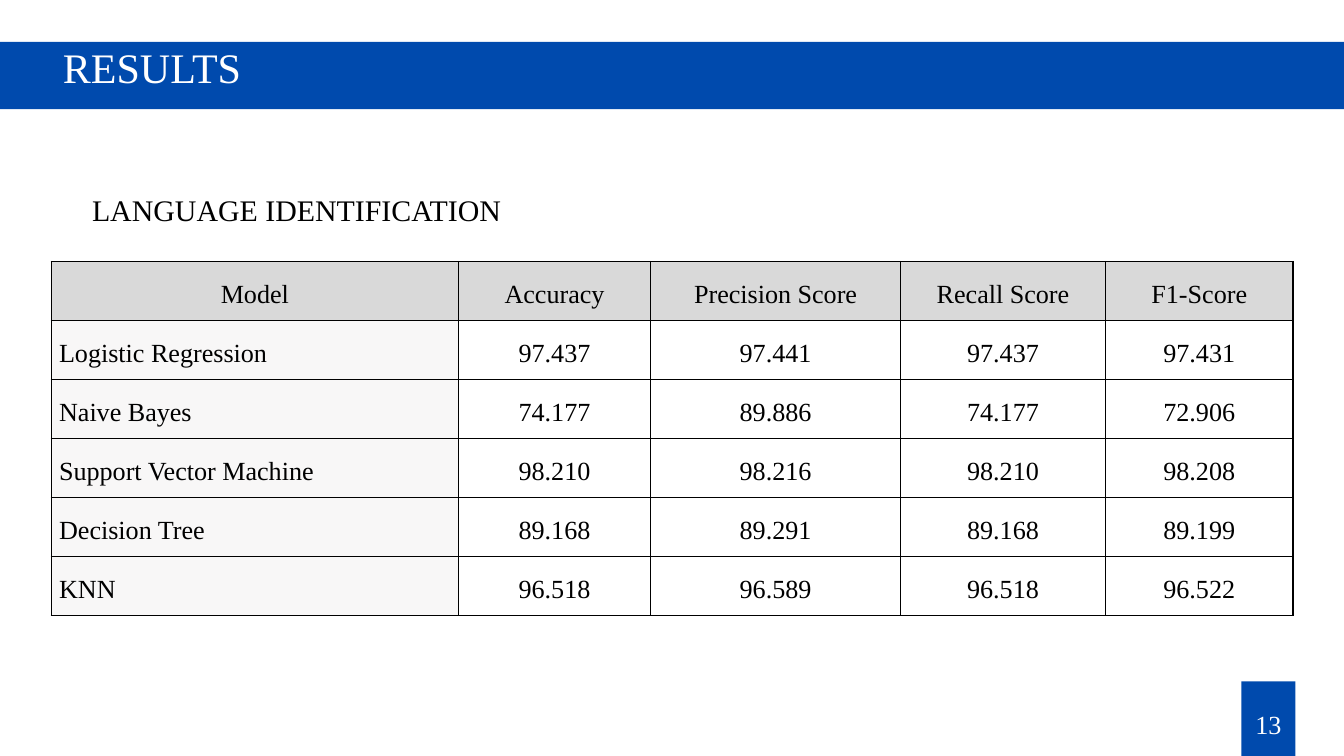
import pptx
import pptx.dml.color
import pptx.enum.shapes
import pptx.enum.text
import pptx.oxml
import pptx.oxml.ns
import pptx.util

Pt = pptx.util.Pt
RGBColor = pptx.dml.color.RGBColor
ALIGN = pptx.enum.text.PP_ALIGN

BLUE = RGBColor(0x00, 0x4A, 0xAD)
WHITE = RGBColor(0xFF, 0xFF, 0xFF)
BLACK = RGBColor(0x00, 0x00, 0x00)
HEADER_GREY = RGBColor(0xD9, 0xD9, 0xD9)
MODEL_GREY = RGBColor(0xF8, 0xF7, 0xF7)

FONT = "Times New Roman"
COLUMN_WIDTHS = (436.3, 205.9, 267.8, 219.6, 200.9)
ROW_HEIGHT = 63.24
CELL_MARGIN = 8.4
SCORES = (
    ("Model", "Accuracy", "Precision Score", "Recall Score", "F1-Score"),
    ("Logistic Regression", "97.437", "97.441", "97.437", "97.431"),
    ("Naive Bayes", "74.177", "89.886", "74.177", "72.906"),
    ("Support Vector Machine", "98.210", "98.216", "98.210", "98.208"),
    ("Decision Tree", "89.168", "89.291", "89.168", "89.199"),
    ("KNN", "96.518", "96.589", "96.518", "96.522"),
)


def write_line(frame, text, size, color, spacing, align):
    frame.text = text
    paragraph = frame.paragraphs[0]
    paragraph.alignment = align
    paragraph.line_spacing = Pt(spacing)
    font = paragraph.runs[0].font
    font.name = FONT
    font.size = Pt(size)
    font.bold = False
    font.color.rgb = color


def add_bar(slide, left, top, width, height):
    bar = slide.shapes.add_shape(
        pptx.enum.shapes.MSO_SHAPE.RECTANGLE,
        Pt(left), Pt(top), Pt(width), Pt(height))
    bar.shadow.inherit = False
    bar.fill.solid()
    bar.fill.fore_color.rgb = BLUE
    bar.line.fill.background()


def add_label(slide, box, text, size, color, spacing, align=ALIGN.LEFT, indent=0):
    label = slide.shapes.add_textbox(*(Pt(length) for length in box))
    frame = label.text_frame
    frame.word_wrap = True
    frame.margin_left = Pt(indent)
    frame.margin_top = frame.margin_right = frame.margin_bottom = 0
    write_line(frame, text, size, color, spacing, align)


def add_borders(cell, width):
    properties = cell._tc.get_or_add_tcPr()
    for side in ("lnL", "lnR", "lnT", "lnB"):
        properties.append(pptx.oxml.parse_xml(
            f'<a:{side} {pptx.oxml.ns.nsdecls("a")} w="{Pt(width)}">'
            f'<a:solidFill><a:srgbClr val="{BLACK}"/></a:solidFill></a:{side}>'))


def fill_cell(cell, color):
    if color is None:
        cell.fill.background()
    else:
        cell.fill.solid()
        cell.fill.fore_color.rgb = color


def add_score_table(slide, left, top):
    table = slide.shapes.add_table(
        len(SCORES), len(COLUMN_WIDTHS), Pt(left), Pt(top),
        Pt(sum(COLUMN_WIDTHS)), Pt(ROW_HEIGHT * len(SCORES))).table
    table.first_row = False
    table.horz_banding = False
    for column, width in zip(table.columns, COLUMN_WIDTHS):
        column.width = Pt(width)
    for row_index, scores in enumerate(SCORES):
        table.rows[row_index].height = Pt(ROW_HEIGHT)
        for column_index, text in enumerate(scores):
            is_header = row_index == 0
            is_model = column_index == 0 and not is_header
            cell = table.cell(row_index, column_index)
            cell.vertical_anchor = pptx.enum.text.MSO_ANCHOR.MIDDLE
            cell.margin_left = cell.margin_right = Pt(CELL_MARGIN)
            cell.margin_top = cell.margin_bottom = Pt(CELL_MARGIN)
            add_borders(cell, 1.5)
            fill_cell(cell, HEADER_GREY if is_header else MODEL_GREY if is_model else None)
            write_line(cell.text_frame, text, 28, BLACK, 39.2,
                       ALIGN.LEFT if is_model else ALIGN.CENTER)


def main():
    presentation = pptx.Presentation()
    presentation.slide_width = Pt(1440)
    presentation.slide_height = Pt(810)
    slide = presentation.slides.add_slide(presentation.slide_layouts[6])

    add_bar(slide, -16.5, 45, 1473, 72)
    add_label(slide, (0, 35.3, 1440, 68.4), "RESULTS", 45, WHITE, 63, indent=67.5)
    add_bar(slide, 1330, 730, 58, 81)
    add_label(slide, (1330.5, 753.8, 57, 42.5), "13", 28, WHITE, 39.2, ALIGN.CENTER)
    add_score_table(slide, 54.9, 280.1)
    add_label(slide, (98.6, 164.2, 684.7, 74.9), "LANGUAGE IDENTIFICATION",
              32, BLACK, 80, ALIGN.JUSTIFY)

    presentation.save("out.pptx")


if __name__ == "__main__":
    main()
